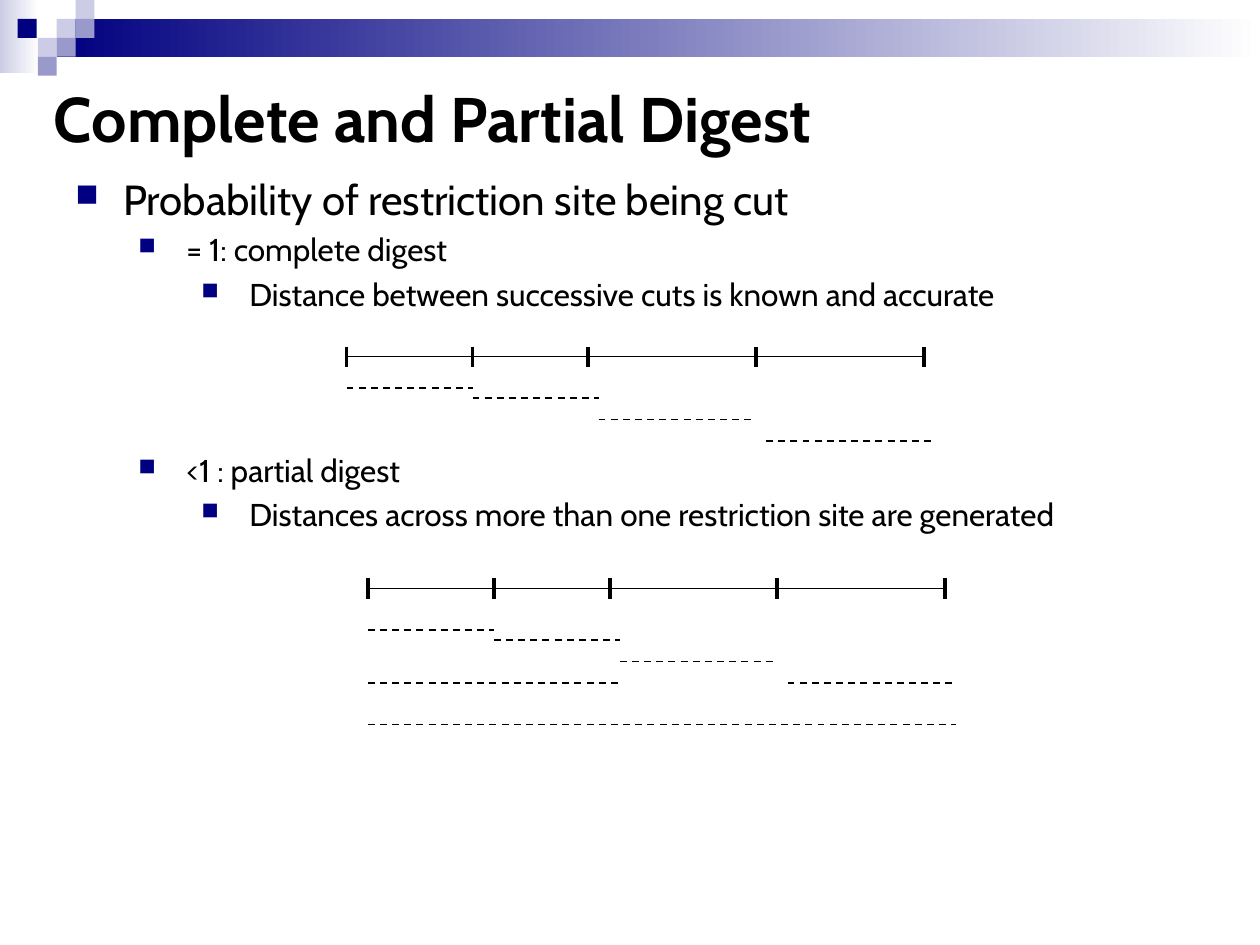
from lxml import etree
from pptx import Presentation
from pptx.dml.color import RGBColor
from pptx.enum.dml import MSO_LINE
from pptx.enum.shapes import MSO_CONNECTOR, MSO_SHAPE
from pptx.oxml.ns import qn
from pptx.util import Inches, Pt

RECTANGLE = MSO_SHAPE.RECTANGLE
STRAIGHT = MSO_CONNECTOR.STRAIGHT
DASH = MSO_LINE.DASH

BLACK = RGBColor(0x00, 0x00, 0x00)
WHITE = RGBColor(0xFF, 0xFF, 0xFF)
NAVY = RGBColor(0x00, 0x00, 0x80)
LAVENDER = RGBColor(0xCC, 0xCC, 0xE6)
PERIWINKLE = RGBColor(0x99, 0x99, 0xCC)

FONT = "Cabin"
TILE = 0.15
TILES = [
    (0.45, 0.15, LAVENDER),
    (0.6, 0, LAVENDER),
    (0.6, 0.15, PERIWINKLE),
    (0.3, 0.3, LAVENDER),
    (0.14, 0.15, NAVY),
    (0.45, 0.3, PERIWINKLE),
    (0.3, 0.45, PERIWINKLE),
]

OUTLINE = [
    (0, 24, 0, "Probability of restriction site being cut"),
    (1, 18, 3.6, "= 1: complete digest"),
    (2, 18, 3.6, "Distance between successive cuts is known and accurate"),
    (1, 18, 79, "<1 : partial digest"),
    (2, 18, 3.6, "Distances across more than one restriction site are generated"),
]

CUT_SITES = [0, 1, 1.92, 3.25, 4.58]
SINGLE_FRAGMENTS = [(0, 1, 0.25), (1, 2, 0.33), (2, 3.25, 0.5), (3.33, 4.67, 0.67)]
JOINED_FRAGMENTS = [(0, 2, 0.67), (0, 4.67, 1)]


def add_block(slide, left, top, width, height, color, fade_to=None):
    block = slide.shapes.add_shape(
        RECTANGLE, Inches(left), Inches(top), Inches(width), Inches(height)
    )
    block.shadow.inherit = False
    block.line.fill.background()
    if fade_to is None:
        block.fill.solid()
        block.fill.fore_color.rgb = color
    else:
        block.fill.gradient()
        block.fill.gradient_angle = 0
        for stop, shade in zip(block.fill.gradient_stops, (color, fade_to)):
            stop.color.rgb = shade


def add_line(slide, x1, y1, x2, y2, weight=1, dash=None):
    line = slide.shapes.add_connector(
        STRAIGHT, Inches(x1), Inches(y1), Inches(x2), Inches(y2)
    )
    line.line.color.rgb = BLACK
    line.line.width = Pt(weight)
    if dash is not None:
        line.line.dash_style = dash
    etree.SubElement(line._element.spPr, qn("a:effectLst"))


def add_text_frame(slide, left, top, width, height):
    box = slide.shapes.add_textbox(
        Inches(left), Inches(top), Inches(width), Inches(height)
    )
    box.text_frame.word_wrap = True
    return box.text_frame


def add_run(paragraph, text, size, bold=False):
    run = paragraph.add_run()
    run.text = text
    run.font.name = FONT
    run.font.size = Pt(size)
    run.font.bold = bold
    run.font.color.rgb = BLACK


def add_square_bullet(paragraph, level):
    properties = paragraph._p.get_or_add_pPr()
    properties.set("marL", str(Inches(0.38 + 0.5 * level)))
    properties.set("indent", str(Inches(-0.38)))
    color = etree.SubElement(properties, qn("a:buClr"))
    etree.SubElement(color, qn("a:srgbClr"), val=str(NAVY))
    etree.SubElement(properties, qn("a:buSzPct"), val="75000")
    etree.SubElement(properties, qn("a:buChar"), char="■")


def add_outline(slide):
    frame = add_text_frame(slide, 0.5, 1.33, 9.21, 2.95)
    for index, (level, size, space_before, text) in enumerate(OUTLINE):
        paragraph = frame.add_paragraph() if index else frame.paragraphs[0]
        paragraph.level = level
        add_square_bullet(paragraph, level)
        paragraph.space_before = Pt(space_before)
        add_run(paragraph, text, size)


def add_digest_map(slide, left, axis, fragments, drop=0):
    add_line(slide, left, axis, left + CUT_SITES[-1], axis)
    for site in CUT_SITES:
        add_line(slide, left + site, axis - 0.08, left + site, axis + 0.08, 2.25)
    for start, end, depth in fragments:
        level = axis + drop + depth
        add_line(slide, left + start, level, left + end, level, dash=DASH)


def add_banner(slide):
    add_block(slide, 0, 0, 0.31, 0.58, LAVENDER, WHITE)
    add_block(slide, 0.45, 0.15, 9.55, 0.3, NAVY, WHITE)
    for left, top, color in TILES:
        add_block(slide, left, top, TILE, TILE, color)


def main():
    deck = Presentation()
    deck.slide_width = Inches(10)
    deck.slide_height = Inches(7.5)
    slide = deck.slides.add_slide(deck.slide_layouts[6])

    add_banner(slide)
    add_outline(slide)
    title = add_text_frame(slide, 0.33, 0.58, 7.83, 0.71)
    add_run(title.paragraphs[0], "Complete and Partial Digest", 36, bold=True)
    add_digest_map(slide, 2.75, 2.83, SINGLE_FRAGMENTS)
    add_digest_map(slide, 2.92, 4.67, SINGLE_FRAGMENTS + JOINED_FRAGMENTS, drop=0.08)

    deck.save("out.pptx")


if __name__ == "__main__":
    main()
